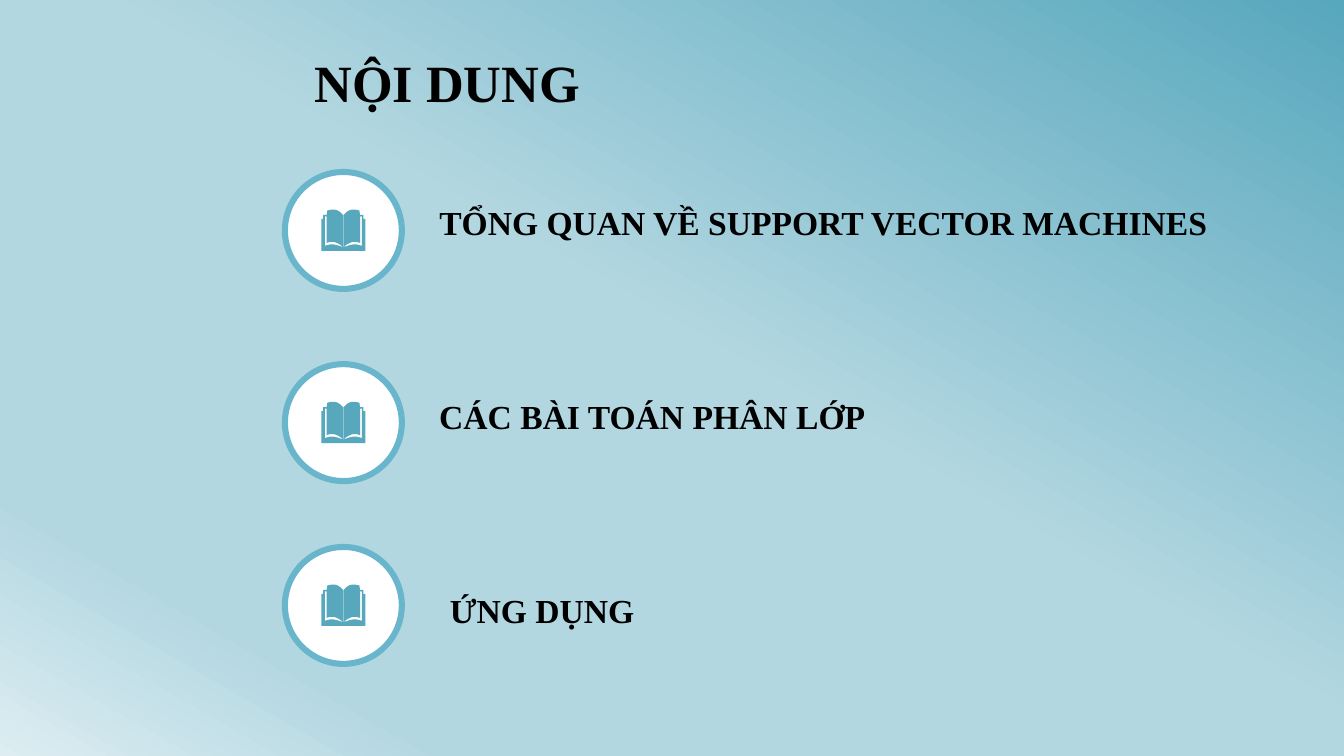
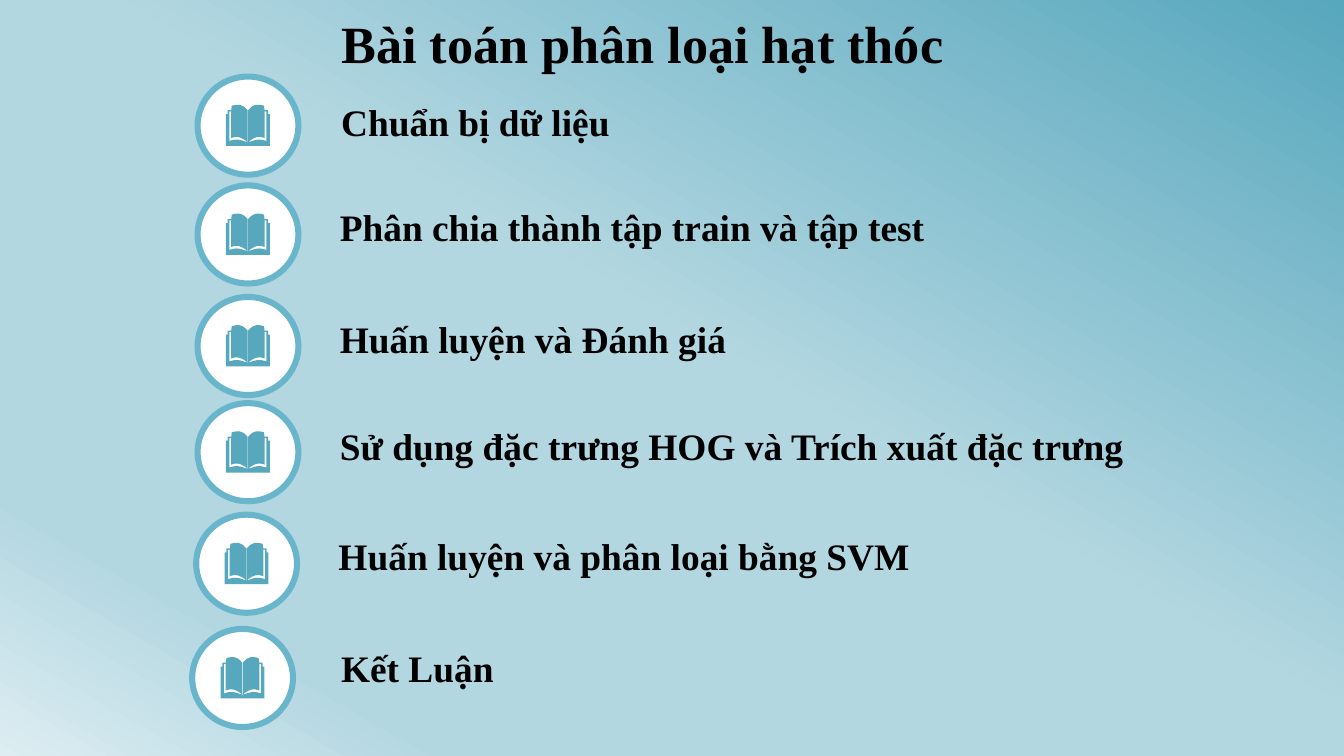
import pptx
import pptx.util
import pptx.dml.color
import pptx.enum.shapes
import pptx.enum.text
import pptx.oxml
import pptx.oxml.ns

Inch = pptx.util.Inches
Pt = pptx.util.Pt

# Content: each item is text, disc (left, top), text box (left, top, width, height)
SLIDES = [
    {
        "title": "NỘI DUNG", "place": (2.24, 0.29, 3.85, 0.63),
        "disc": (0.87, 0.87), "size": 18,
        "items": [
            ("TỔNG QUAN VỀ SUPPORT VECTOR MACHINES", (2.12, 1.28), (3.17, 1.45, 6.41, 0.4)),
            ("CÁC BÀI TOÁN PHÂN LỚP", (2.12, 2.71), (3.17, 2.9, 3.97, 0.4)),
            ("ỨNG DỤNG", (2.12, 4.07), (3.25, 4.34, 1.9, 0.4)),
        ],
    },
    {
        "title": "Bài toán phân loại hạt thóc", "place": (2.44, 0, 5.91, 0.63),
        "disc": (0.75, 0.73), "size": 20,
        "items": [
            ("Chuẩn bị dữ liệu", (1.47, 0.57), (2.44, 0.69, 2.97, 0.44)),
            ("Phân chia thành tập train và tập test", (1.47, 1.38), (2.43, 1.47, 6.1, 0.44)),
            ("Huấn luyện và Đánh giá", (1.47, 2.21), (2.43, 2.3, 3.64, 0.44)),
            ("Sử dụng đặc trưng HOG và Trích xuất đặc trưng", (1.47, 3), (2.43, 3.1, 6.62, 0.77)),
            ("Huấn luyện và phân loại bằng SVM", (1.46, 3.83), (2.42, 3.92, 4.62, 0.44)),
            ("Kết Luận", (1.43, 4.68), (2.44, 4.75, 5, 0.44)),
        ],
    },
]

# Shared style
WIDE = Inch(10)
FONT = "Times New Roman"
COLOR = {"deep": "57A7BD", "mid": "B3D7E1", "pale": "DDEDF2",
         "ring": "69B6CC", "disc": "FFFFFF", "text": "000000"}
STOPS = [(0, "deep"), (47, "mid"), (83, "mid"), (100, "pale")]

# Right half of the book in thousandths of an inch from the spine;
# six numbers are a Bezier curve, two a straight line
HALF = [
    (2, 280), (60, 260, 80, 250, 138, 270), (138, 50), (125, 50), (125, 248),
    (87, 230, 40, 240, 2, 280), (2, 40), (28, 10, 50, 0, 75, 0),
    (88, 0, 105, 2, 120, 8), (124, 40), (150, 40), (150, 70),
    (163, 70), (163, 307), (0, 307),
]
TALL = 0.31


def rgb(key):
    return pptx.dml.color.RGBColor.from_string(COLOR[key])


def trace(path, steps=8):
    """Flatten the lines and curves of a path into points."""
    dots = [path[0]]
    for part in path[1:]:
        if len(part) == 2:
            dots.append(part)
            continue
        ends = [dots[-1], part[:2], part[2:4], part[4:]]
        for n in range(1, steps + 1):
            t = n / steps
            rate = ((1 - t) ** 3, 3 * t * (1 - t) ** 2, 3 * t * t * (1 - t), t ** 3)
            dots.append(tuple(sum(r * e[k] for r, e in zip(rate, ends)) for k in (0, 1)))
    return dots


RIGHT = trace(HALF)
BOOK = RIGHT + [(-x, y) for x, y in reversed(RIGHT[:-1])]


def paint(slide):
    """Fill the background with the four-stop gradient."""
    fill = slide.background.fill
    fill.gradient()
    fill.gradient_angle = 240
    stops = slide.element.find(".//" + pptx.oxml.ns.qn("a:gsLst"))
    for old in list(stops):
        stops.remove(old)
    space = pptx.oxml.ns.nsdecls("a")
    for share, key in STOPS:
        stops.append(pptx.oxml.parse_xml(
            f'<a:gs {space} pos="{share * 1000}"><a:srgbClr val="{COLOR[key]}"/></a:gs>'))


def write(frame, text, size):
    frame.text = text
    frame.word_wrap = True
    para = frame.paragraphs[0]
    para.alignment = pptx.enum.text.PP_ALIGN.LEFT
    font = para.runs[0].font
    font.name, font.size, font.bold = FONT, Pt(size), True
    font.color.rgb = rgb("text")


def head(slide, text, place):
    title = slide.shapes.title
    title.left, title.top, title.width, title.height = map(Inch, place)
    write(title.text_frame, text, 28)
    title.text_frame.vertical_anchor = pptx.enum.text.MSO_ANCHOR.MIDDLE
    title.text_frame.auto_size = pptx.enum.text.MSO_AUTO_SIZE.NONE


def badge(slide, spot, size):
    """Draw a ringed disc with a book at its centre."""
    oval = pptx.enum.shapes.MSO_SHAPE.OVAL
    disc = slide.shapes.add_shape(oval, *map(Inch, spot + size))
    disc.line.color.rgb = rgb("ring")
    disc.line.width = Pt(3.25)
    mid = spot[0] + size[0] / 2
    top = spot[1] + (size[1] - TALL) / 2
    pen = slide.shapes.build_freeform(*BOOK[0], scale=Inch(1) / 1000)
    pen.add_line_segments(BOOK[1:], close=True)
    book = pen.convert_to_shape(Inch(mid), Inch(top))
    book.line.fill.background()
    for shape, key in ((disc, "disc"), (book, "deep")):
        shape.shadow.inherit = False
        shape.fill.solid()
        shape.fill.fore_color.rgb = rgb(key)


def label(slide, text, place, size):
    frame = slide.shapes.add_textbox(*map(Inch, place)).text_frame
    write(frame, text, size)
    frame.auto_size = pptx.enum.text.MSO_AUTO_SIZE.SHAPE_TO_FIT_TEXT


def main():
    deck = pptx.Presentation()
    deck.slide_width, deck.slide_height = WIDE, WIDE * 9 // 16
    for page in SLIDES:
        slide = deck.slides.add_slide(deck.slide_layouts[5])
        paint(slide)
        head(slide, page["title"], page["place"])
        for text, spot, place in page["items"]:
            badge(slide, spot, page["disc"])
            label(slide, text, place, page["size"])
    deck.save("out.pptx")


if __name__ == "__main__":
    main()
